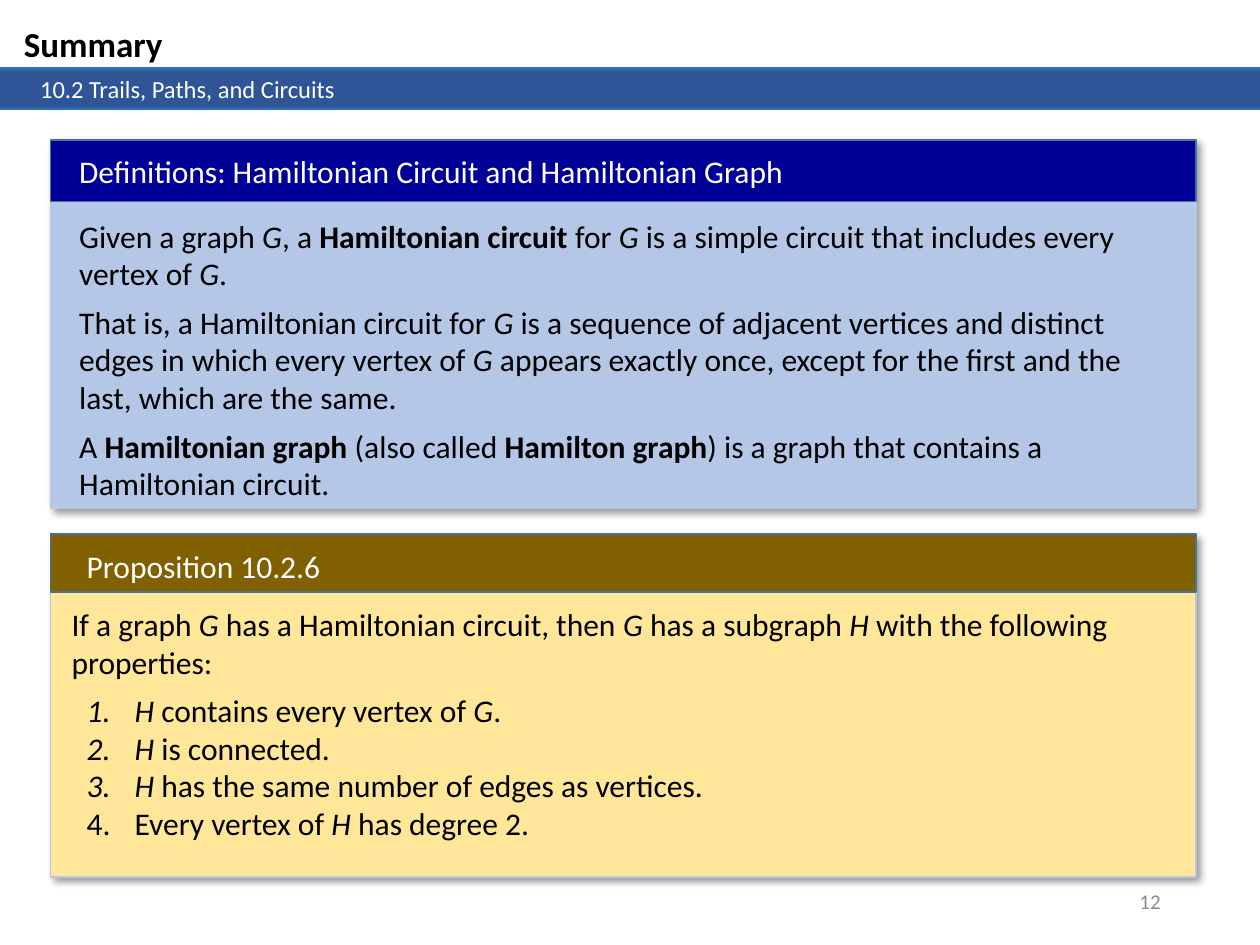
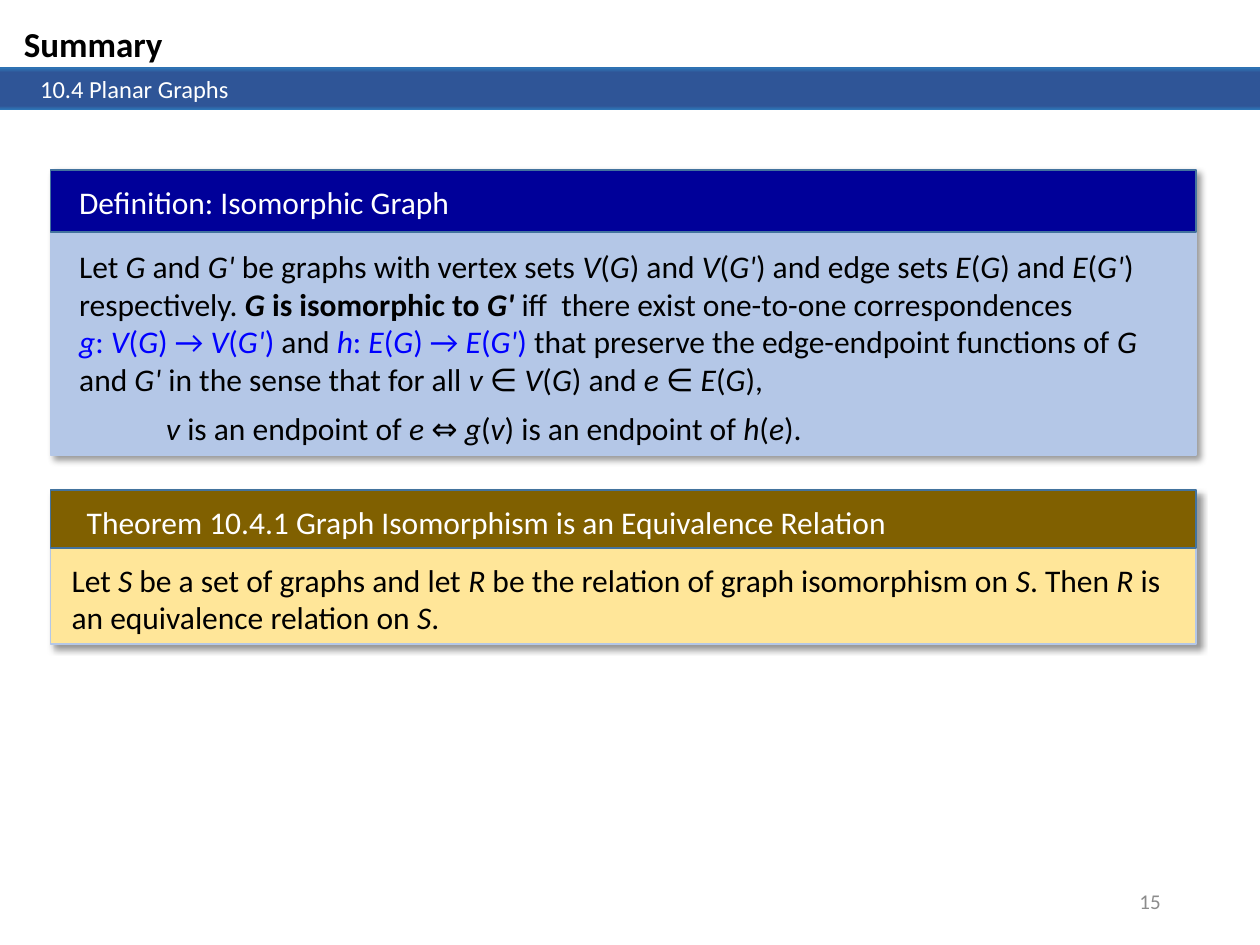
from lxml import etree
from pptx import Presentation
from pptx.dml.color import RGBColor
from pptx.enum.shapes import MSO_SHAPE
from pptx.enum.text import MSO_ANCHOR, MSO_AUTO_SIZE, PP_ALIGN
from pptx.oxml.ns import qn
from pptx.util import Inches, Pt

# Content. In text, _ toggles italic, * toggles bold and ^ toggles blue.
# A paragraph is a string, or a pair of a string and its own format.
NUMBERED = dict(indent=0.5, hang=0.38, number=True, after=0)
SLIDES = [
    dict(title="Summary", section="10.2 Trails, Paths, and Circuits", page="12", boxes=[
        dict(kind="definition", top=1.11, height=2.92,
             head="Definitions: Hamiltonian Circuit and Hamiltonian Graph",
             body=["Given a graph _G_, a *Hamiltonian circuit *for _G _is a simple circuit "
                   "that includes every vertex of _G_. ",
                   "That is, a Hamiltonian circuit for _G_ is a sequence of adjacent vertices "
                   "and distinct edges in which every vertex of _G_ appears exactly once, "
                   "except for the first and the last, which are the same. ",
                   "A *Hamiltonian graph *(also called *Hamilton graph*) is a graph that "
                   "contains a Hamiltonian circuit."]),
        dict(kind="result", top=4.24, height=2.72,
             head="Proposition 10.2.6",
             body=["If a graph _G_ has a Hamiltonian circuit, then _G_ has a subgraph _H_ "
                   "with the following properties:",
                   ("_H_ contains every vertex of _G_.", NUMBERED),
                   ("_H_ is connected.", NUMBERED),
                   ("_H_ has the same number of edges as vertices.", NUMBERED),
                   ("Every vertex of _H _has degree 2.", NUMBERED)]),
    ]),
    dict(title="Summary", section="10.4 Planar Graphs", page="15", boxes=[
        dict(kind="definition", top=1.35, height=2.26,
             head="Definition: Isomorphic Graph",
             body=["Let _G_ and _G' _be graphs with vertex sets _V_(_G_) and _V_(_G'_) and "
                   "edge sets _E_(_G_) and _E_(_G'_) respectively. *_G _is isomorphic to "
                   "_G' _*iff  there exist one-to-one correspondences \n"
                   "^_g_: _V_(_G_) → _V_(_G'_) ^and ^_h_: _E_(_G_) → _E_(_G'_) ^that preserve "
                   "the edge-endpoint functions of _G_ and _G'_ in the sense that for all "
                   "_v _∈ _V_(_G_) and _e _∈_ E_(_G_), ",
                   ("_v _is an endpoint of _e _⇔ _g_(_v_) is an endpoint of _h_(_e_).",
                    dict(indent=0.69))]),
        dict(kind="result", top=3.89, height=1.22,
             head="Theorem 10.4.1 Graph Isomorphism is an Equivalence Relation",
             body=["Let _S_ be a set of graphs and let _R_ be the relation of graph "
                   "isomorphism on _S_. Then _R_ is an equivalence relation on _S_."]),
    ]),
]

# Shared look
FONT = "Calibri"
COLORS = dict(text="000000", white="FFFFFF", page="8C8C8C", blue="0000FF",
              band="2F5597", band_edge="2E75B6", box_line="B4C7E7", head_line="43739E")
BAND_STOPS = [(0, "band_edge"), (11, "band"), (91, "band"), (100, "band_edge")]
BOX_LEFT, BOX_WIDTH = 0.4, 9.09
KINDS = dict(
    definition=dict(fill="B4C7E7", head_fill="000099", head_h=0.49,
                    head_x=0.53, head_w=8.96, body_x=0.53, body_w=8.78, body_dy=0.56),
    result=dict(fill="FFE699", head_fill="806000", head_h=0.46,
                head_x=0.59, head_w=8.07, body_x=0.47, body_w=8.84, body_dy=0.51))


def rgb(name):
    return RGBColor.from_string(COLORS.get(name, name))


def write(tf, text, first=True, size=18, color="text", bold=False, align=PP_ALIGN.LEFT,
          after=0, indent=0, hang=0, number=False):
    """Write one paragraph of marked-up text."""
    p = tf.paragraphs[0] if first else tf.add_paragraph()
    p.alignment, p.space_after = align, Pt(after)
    pPr = p._p.get_or_add_pPr()
    if indent:
        pPr.set("marL", str(Inches(indent)))
        pPr.set("indent", str(-Inches(hang)))
    if number:
        etree.SubElement(pPr, qn("a:buFont"), typeface="+mj-lt")
        etree.SubElement(pPr, qn("a:buAutoNum"), type="arabicPeriod")
    on = {"_": False, "*": bold, "^": False}
    part = ""
    for ch in text + "\0":
        if ch not in on and ch not in "\n\0":
            part += ch
            continue
        if part:
            r = p.add_run()
            r.text, part = part, ""
            r.font.name, r.font.size = FONT, Pt(size)
            r.font.italic, r.font.bold = on["_"], on["*"]
            r.font.color.rgb = rgb("blue" if on["^"] else color)
        if ch == "\n":
            p.add_line_break()
        elif ch in on:
            on[ch] = not on[ch]


def text_box(shapes, x, y, w, h, paragraphs, anchor=MSO_ANCHOR.TOP, grow=True, **fmt):
    tf = shapes.add_textbox(Inches(x), Inches(y), Inches(w), Inches(h)).text_frame
    tf.word_wrap, tf.vertical_anchor = True, anchor
    if grow:
        tf.auto_size = MSO_AUTO_SIZE.SHAPE_TO_FIT_TEXT
    for i, item in enumerate(paragraphs):
        text, own = item if isinstance(item, tuple) else (item, {})
        write(tf, text, first=i == 0, **{**fmt, **own})


def rect(shapes, x, y, w, h, fill=None, line=None, shadow=False):
    sp = shapes.add_shape(MSO_SHAPE.RECTANGLE, Inches(x), Inches(y), Inches(w), Inches(h))
    sp.shadow.inherit = False
    if fill:
        sp.fill.solid()
        sp.fill.fore_color.rgb = rgb(fill)
    if line:
        sp.line.color.rgb, sp.line.width = rgb(line), Pt(1)
    else:
        sp.line.fill.background()
    if shadow:
        effects = sp._element.spPr.find(qn("a:effectLst"))
        outer = etree.SubElement(effects, qn("a:outerShdw"), blurRad=str(Pt(4)),
                                 dist=str(Pt(3)), dir=str(45 * 60000), algn="tl",
                                 rotWithShape="0")
        clr = etree.SubElement(outer, qn("a:srgbClr"), val=COLORS["text"])
        etree.SubElement(clr, qn("a:alpha"), val="40000")
    return sp


def band(shapes, y, h):
    sp = rect(shapes, 0, y, 10, h)
    sp.fill.gradient()
    sp.fill.gradient_angle = 270
    stops = sp._element.spPr.find(".//" + qn("a:gsLst"))
    for old in list(stops):
        stops.remove(old)
    for pos, name in BAND_STOPS:
        gs = etree.SubElement(stops, qn("a:gs"), pos=str(pos * 1000))
        etree.SubElement(gs, qn("a:srgbClr"), val=COLORS[name])
    return sp


def statement(s, kind, top, height, head, body):
    """A shadowed box with a coloured heading, as one group."""
    k = KINDS[kind]
    shapes = s.shapes.add_group_shape().shapes
    rect(shapes, BOX_LEFT, top, BOX_WIDTH, height, k["fill"], "box_line", shadow=True)
    rect(shapes, BOX_LEFT, top, BOX_WIDTH, k["head_h"], k["head_fill"], "head_line")
    text_box(shapes, k["head_x"], top + 0.05, k["head_w"], 0.4, [head], color="white")
    text_box(shapes, k["body_x"], top + k["body_dy"], k["body_w"],
             height - k["body_dy"], body, after=6)


prs = Presentation()
prs.slide_width, prs.slide_height = Inches(10), Inches(7.5)
for page in SLIDES:
    s = prs.slides.add_slide(prs.slide_layouts[6])
    # Bands, page number and title
    band(s.shapes, 0.53, 0.3)
    text_box(s.shapes, 7.06, 6.95, 2.25, 0.4, [page["page"]], anchor=MSO_ANCHOR.MIDDLE,
             grow=False, size=12, color="page", align=PP_ALIGN.RIGHT)
    tf = band(s.shapes, 0.54, 0.33).text_frame
    tf.vertical_anchor = MSO_ANCHOR.TOP
    write(tf, page["section"], size=14, color="white", indent=0.22)
    text_box(s.shapes, 0.09, 0.13, 2.69, 0.44, [page["title"]], size=20, bold=True)
    # Definitions and results
    for box in page["boxes"]:
        statement(s, **box)
prs.save("out.pptx")
